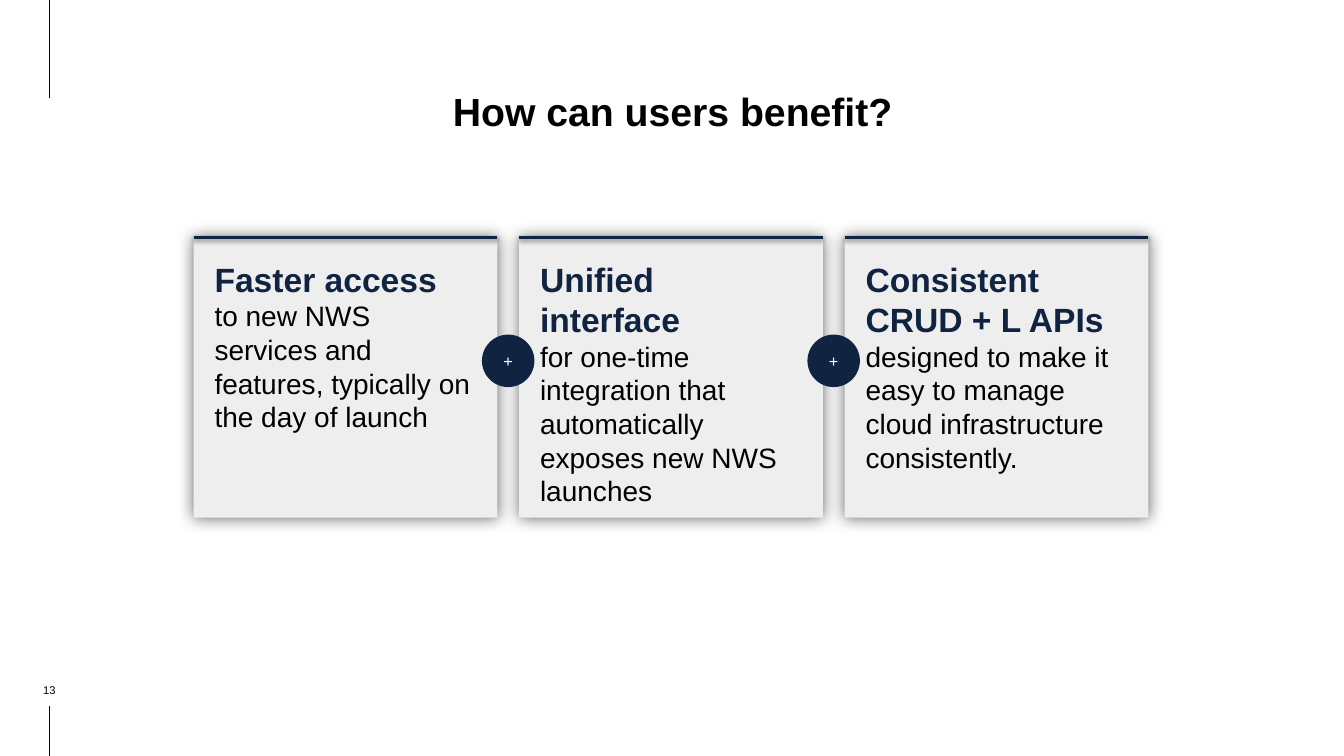
from lxml.etree import SubElement
from pptx import Presentation
from pptx.dml.color import RGBColor
from pptx.enum.shapes import MSO_CONNECTOR, MSO_SHAPE
from pptx.enum.text import MSO_ANCHOR, MSO_AUTO_SIZE, PP_ALIGN
from pptx.oxml.ns import qn
from pptx.util import Pt

# Content
TITLE = "How can users benefit?"
PAGE_NUMBER = "13"
CARDS = [
    ("Faster access",
     "to new NWS services and features, typically on the day of launch"),
    ("Unified interface",
     "for one-time integration that automatically exposes new NWS launches"),
    ("Consistent CRUD + L APIs",
     "designed to make it easy to manage cloud infrastructure consistently."),
]

# Look
NAVY, GREY, BLACK, WHITE = "102441", "EEEEEE", "000000", "FFFFFF"
TITLE_FONT = {"size": Pt(28), "bold": True}
HEADING_FONT = {"size": Pt(24), "bold": True}
BODY_FONT = {"size": Pt(20), "bold": False}
PLUS_FONT = {"size": Pt(11.7)}
NUMBER_FONT = {"size": Pt(8)}
CARD_SHADOW = {"blur": 12, "distance": 0, "angle": 0, "opacity": 60}
RULE_SHADOW = {"blur": 3.1, "distance": 1.6, "angle": 90, "opacity": 38}

# Layout in points
SLIDE_WIDTH, SLIDE_HEIGHT = 960, 540
CARD_LEFT, CARD_TOP, CARD_WIDTH, CARD_HEIGHT = 138.25, 169.75, 217, 200
CARD_STEP, CARD_INSET = 232.5, 15
BADGE_SIZE, BADGE_TOP = 37.5, 239
MARGIN_LINE_X = 35.25
MARGIN_LINES = [(70, 0), (SLIDE_HEIGHT, 504)]


def color(value):
    return RGBColor.from_string(value)


def set_shadow(shape, blur=None, distance=0, angle=0, opacity=0):
    """Give the shape an outer shadow, or none when there is no blur."""
    properties = shape._element.spPr
    effects = SubElement(properties, qn("a:effectLst"))
    if blur is None:
        return
    shadow = SubElement(effects, qn("a:outerShdw"), {
        "blurRad": str(int(Pt(blur))), "dist": str(int(Pt(distance))),
        "dir": str(angle * 60000), "algn": "ctr", "rotWithShape": "0"})
    tint = SubElement(shadow, qn("a:srgbClr"), {"val": BLACK})
    SubElement(tint, qn("a:alpha"), {"val": str(opacity * 1000)})


def add_text(paragraph, text, font, font_color):
    run = paragraph.add_run()
    run.text = text
    for name, value in {"name": "Arial", **font}.items():
        setattr(run.font, name, value)
    run.font.color.rgb = color(font_color)


def format_frame(shape, anchor, inset):
    frame = shape.text_frame
    settings = {"word_wrap": True, "auto_size": MSO_AUTO_SIZE.NONE,
                "vertical_anchor": anchor}
    for side in ("left", "top", "right", "bottom"):
        settings["margin_" + side] = Pt(inset)
    for name, value in settings.items():
        setattr(frame, name, value)
    return frame.paragraphs[0]


def add_line(slide, start, end, line_color, width, **shadow):
    line = slide.shapes.add_connector(
        MSO_CONNECTOR.STRAIGHT, *(Pt(value) for value in (*start, *end)))
    line.line.color.rgb = color(line_color)
    line.line.width = Pt(width)
    set_shadow(line, **shadow)


def add_filled(slide, kind, box, fill):
    shape = slide.shapes.add_shape(kind, *(Pt(value) for value in box))
    shape.fill.solid()
    shape.fill.fore_color.rgb = color(fill)
    shape.line.fill.background()
    return shape


def add_card(slide, left, heading, body):
    card = add_filled(slide, MSO_SHAPE.RECTANGLE,
                      (left, CARD_TOP, CARD_WIDTH, CARD_HEIGHT), GREY)
    set_shadow(card, **CARD_SHADOW)
    paragraph = format_frame(card, MSO_ANCHOR.TOP, CARD_INSET)
    paragraph.alignment = PP_ALIGN.LEFT
    add_text(paragraph, heading, HEADING_FONT, NAVY)
    paragraph.add_line_break()
    add_text(paragraph, body, BODY_FONT, BLACK)
    add_line(slide, (left, CARD_TOP), (left + CARD_WIDTH, CARD_TOP),
             NAVY, 2.25, **RULE_SHADOW)


def add_badge(slide, center):
    badge = add_filled(slide, MSO_SHAPE.OVAL,
                       (center - BADGE_SIZE / 2, BADGE_TOP, BADGE_SIZE, BADGE_SIZE), NAVY)
    badge.shadow.inherit = False
    paragraph = format_frame(badge, MSO_ANCHOR.MIDDLE, 3.6)
    paragraph.alignment = PP_ALIGN.CENTER
    add_text(paragraph, "+", PLUS_FONT, WHITE)


def main():
    presentation = Presentation()
    presentation.slide_width = Pt(SLIDE_WIDTH)
    presentation.slide_height = Pt(SLIDE_HEIGHT)
    slide = presentation.slides.add_slide(presentation.slide_layouts[5])

    # Margin lines
    for start, end in MARGIN_LINES:
        add_line(slide, (MARGIN_LINE_X, start), (MARGIN_LINE_X, end), BLACK, 0.75)

    # Title
    title = slide.shapes.title
    title.left, title.top, title.width, title.height = Pt(70), Pt(52.5), Pt(821), Pt(43)
    paragraph = format_frame(title, MSO_ANCHOR.TOP, 0)
    paragraph.alignment = PP_ALIGN.CENTER
    paragraph.line_spacing = 1.3
    add_text(paragraph, TITLE, TITLE_FONT, BLACK)

    # Cards, then the plus badges centred on the gaps between them
    lefts = [CARD_LEFT + index * CARD_STEP for index in range(len(CARDS))]
    for left, (heading, body) in zip(lefts, CARDS):
        add_card(slide, left, heading, body)
    for left in lefts[1:]:
        add_badge(slide, left - (CARD_STEP - CARD_WIDTH) / 2)

    # Page number
    number = slide.shapes.add_textbox(Pt(6.5), Pt(486), Pt(57.5), Pt(11.5))
    paragraph = format_frame(number, MSO_ANCHOR.BOTTOM, 0)
    paragraph.alignment = PP_ALIGN.CENTER
    add_text(paragraph, PAGE_NUMBER, NUMBER_FONT, BLACK)

    presentation.save("out.pptx")


if __name__ == "__main__":
    main()
